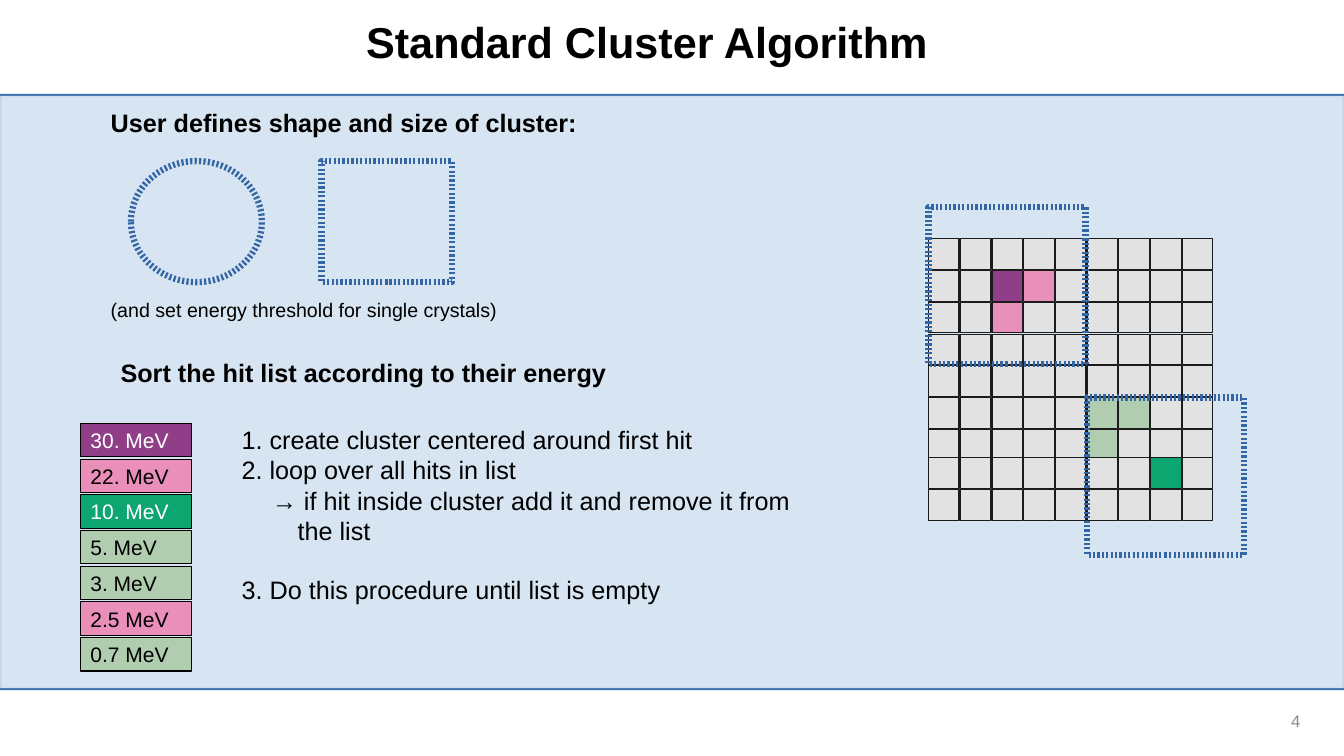
from dataclasses import dataclass

from lxml import etree
from pptx import Presentation
from pptx.dml.color import RGBColor
from pptx.enum.shapes import MSO_CONNECTOR, MSO_SHAPE
from pptx.enum.text import MSO_ANCHOR, PP_ALIGN
from pptx.oxml.ns import qn
from pptx.util import Cm, Pt

RECT, OVAL = MSO_SHAPE.RECTANGLE, MSO_SHAPE.OVAL
STRAIGHT = MSO_CONNECTOR.STRAIGHT
MIDDLE = MSO_ANCHOR.MIDDLE
LEFT, CENTER, RIGHT = PP_ALIGN.LEFT, PP_ALIGN.CENTER, PP_ALIGN.RIGHT
SLIDE_W, SLIDE_H = 33.87, 19.05


@dataclass(frozen=True)
class Theme:
    """Colours, font and type sizes of the slide."""
    font: str = "Arial"
    ink: str = "000000"
    light: str = "FFFFFF"
    muted: str = "8B8B8B"
    rule: str = "3465A4"
    panel: str = "729FCF"
    crystal: str = "E2E2E2"
    crystal_edge: str = "1B1B1B"
    purple: str = "913E88"
    pink: str = "E98FB9"
    green: str = "0DA570"
    sage: str = "B0CEAF"
    title: float = 30.8
    body: float = 18
    energy: float = 15
    note: float = 14
    number: float = 12


THEME = Theme()
HITS = [
    ("30. MeV", THEME.purple), ("22. MeV", THEME.pink), ("10. MeV", THEME.green),
    ("5. MeV", THEME.sage), ("3. MeV", THEME.sage), ("2.5 MeV", THEME.pink),
    ("0.7 MeV", THEME.sage),
]
HIT_CRYSTALS = {
    (1, 2): THEME.purple, (1, 3): THEME.pink, (2, 2): THEME.pink,
    (5, 5): THEME.sage, (5, 6): THEME.sage, (6, 5): THEME.sage,
    (7, 7): THEME.green,
}


def style(paragraph, size, color=THEME.ink, bold=False, align=LEFT):
    """Set the font and alignment of a paragraph."""
    paragraph.alignment = align
    font = paragraph.font
    font.name, font.size, font.bold = THEME.font, Pt(size), bold
    font.color.rgb = RGBColor.from_string(color)


def add_alpha(element, percent):
    """Make the solid colour inside an element partly transparent."""
    color = element.find(".//" + qn("a:srgbClr"))
    etree.SubElement(color, qn("a:alpha")).set("val", str(percent * 1000))


def add_outline(shapes, kind, box, edge, width, fill=None):
    """Add a preset shape with an outline and an optional fill."""
    shape = shapes.add_shape(kind, *map(Cm, box))
    shape.shadow.inherit = False
    if fill:
        shape.fill.solid()
        shape.fill.fore_color.rgb = RGBColor.from_string(fill)
    else:
        shape.fill.background()
    shape.line.color.rgb = RGBColor.from_string(edge)
    shape.line.width = Pt(width)
    return shape


def add_cluster(shapes, kind, box):
    """Add the finely dashed outline of a cluster."""
    cluster = add_outline(shapes, kind, box, THEME.rule, 4.5)
    dashes = etree.Element(qn("a:custDash"))
    etree.SubElement(dashes, qn("a:ds"), {"d": "35000", "sp": "35000"})
    cluster._element.spPr.find(qn("a:ln")).find(qn("a:solidFill")).addnext(dashes)


def add_text(slide, box, text, size, **font):
    """Add a wrapping text box with one paragraph per line of text."""
    frame = slide.shapes.add_textbox(*map(Cm, box)).text_frame
    frame.word_wrap = True
    frame.text = text
    for paragraph in frame.paragraphs:
        style(paragraph, size, **font)
    return frame


def add_panel(slide, box):
    """Add the tinted content panel with a rule above and below."""
    left, top, width, height = box
    for y in (top + height, top):
        rule = slide.shapes.add_connector(STRAIGHT, Cm(left), Cm(y), Cm(left + width), Cm(y))
        rule.line.color.rgb = RGBColor.from_string(THEME.rule)
        rule.line.width = Pt(1.5)
        etree.SubElement(rule._element.spPr, qn("a:effectLst"))
    panel = add_outline(slide.shapes, RECT, box, THEME.panel, 2.3, THEME.panel)
    properties = panel._element.spPr
    add_alpha(properties.find(qn("a:solidFill")), 28)
    add_alpha(properties.find(qn("a:ln")), 20)


def add_title(slide, box, text):
    """Place and format the title placeholder."""
    title = slide.shapes.title
    title.left, title.top, title.width, title.height = map(Cm, box)
    frame = title.text_frame
    frame.text = text
    frame.vertical_anchor = MIDDLE
    frame.paragraphs[0].line_spacing = 0.7
    style(frame.paragraphs[0], THEME.title, bold=True, align=CENTER)


def add_cluster_definition(slide, box):
    """Show the two cluster shapes between their heading and note."""
    left, top, width, height = box
    add_text(slide, (left, top, width, 0.97), "User defines shape and size of cluster:",
             THEME.body, bold=True)
    for index, kind in enumerate((OVAL, RECT)):
        add_cluster(slide.shapes, kind, (left + 0.76 + index * 4.8, top + 1.47, 3.3, 3.05))
    add_text(slide, (left, top + height - 0.81, width, 0.81),
             "(and set energy threshold for single crystals)", THEME.note)


def add_hit_list(slide, box):
    """Stack the hits in order of energy."""
    left, top, width, height = box
    shapes = slide.shapes.add_group_shape().shapes
    pitch = height / len(HITS)
    for index, (energy, color) in enumerate(HITS):
        hit = add_outline(shapes, RECT, (left, top + index * pitch, width, pitch - 0.06),
                          THEME.ink, 0, color)
        frame = hit.text_frame
        frame.text = energy
        frame.vertical_anchor = MIDDLE
        dark = color in (THEME.purple, THEME.green)
        style(frame.paragraphs[0], THEME.energy, THEME.light if dark else THEME.ink)


def add_steps(slide, box):
    """List the steps of the algorithm with an indented sub-step."""
    frame = add_text(slide, box, "\n".join([
        "1. create cluster centered around first hit",
        "2. loop over all hits in list",
        "→ if hit inside cluster add it and remove it from the list",
        "3. Do this procedure until list is empty",
    ]), THEME.body)
    substep, repeat = frame.paragraphs[2:]
    indent = substep._p.get_or_add_pPr()
    indent.set("marL", str(Cm(1.41)))
    indent.set("indent", str(Cm(-0.65)))
    repeat.space_before = Pt(21)


def add_crystal_grid(slide, box):
    """Draw nine by nine crystals and two clusters of five by five."""
    left, top, width, _ = box
    count, span, lower_row, lower_shift = 9, 5, 7, 0.08
    pitch = width / count
    shapes = slide.shapes.add_group_shape().shapes
    for row in range(count):
        y = top + row * pitch - (lower_shift if row >= lower_row else 0)
        for column in range(count):
            color = HIT_CRYSTALS.get((row, column), THEME.crystal)
            add_outline(shapes, RECT, (left + column * pitch, y, pitch - 0.03, pitch - 0.03),
                        THEME.crystal_edge, 0, color)
    for row, column in ((-1, 0), (5, 5)):
        add_cluster(shapes, RECT, (left + column * pitch, top + row * pitch,
                                   span * pitch - 0.04, span * pitch - 0.04))


def build_algorithm_slide(presentation):
    """Build the slide on the standard cluster algorithm."""
    slide = presentation.slides.add_slide(presentation.slide_layouts[5])
    add_panel(slide, (0, 2.39, SLIDE_W, 14.98))
    add_title(slide, (2.16, 0.56, 28.3, 1.27), "Standard Cluster Algorithm")
    add_cluster_definition(slide, (2.54, 2.59, 16.5, 5.59))
    add_text(slide, (2.79, 8.89, 14, 1.68), "Sort the hit list according to their energy",
             THEME.body, bold=True)
    add_hit_list(slide, (2.03, 10.67, 2.8, 6.3))
    add_crystal_grid(slide, (23.4, 6.02, 7.2, 7.2))
    add_steps(slide, (5.84, 10.57, 15, 4.52))
    number = add_text(slide, (25.4, 17.65, 7.62, 1.02), "4", THEME.number,
                      color=THEME.muted, align=RIGHT)
    number.vertical_anchor = MIDDLE


def main():
    """Create and save the presentation."""
    presentation = Presentation()
    presentation.slide_width, presentation.slide_height = Cm(SLIDE_W), Cm(SLIDE_H)
    build_algorithm_slide(presentation)
    presentation.save("out.pptx")


if __name__ == "__main__":
    main()
